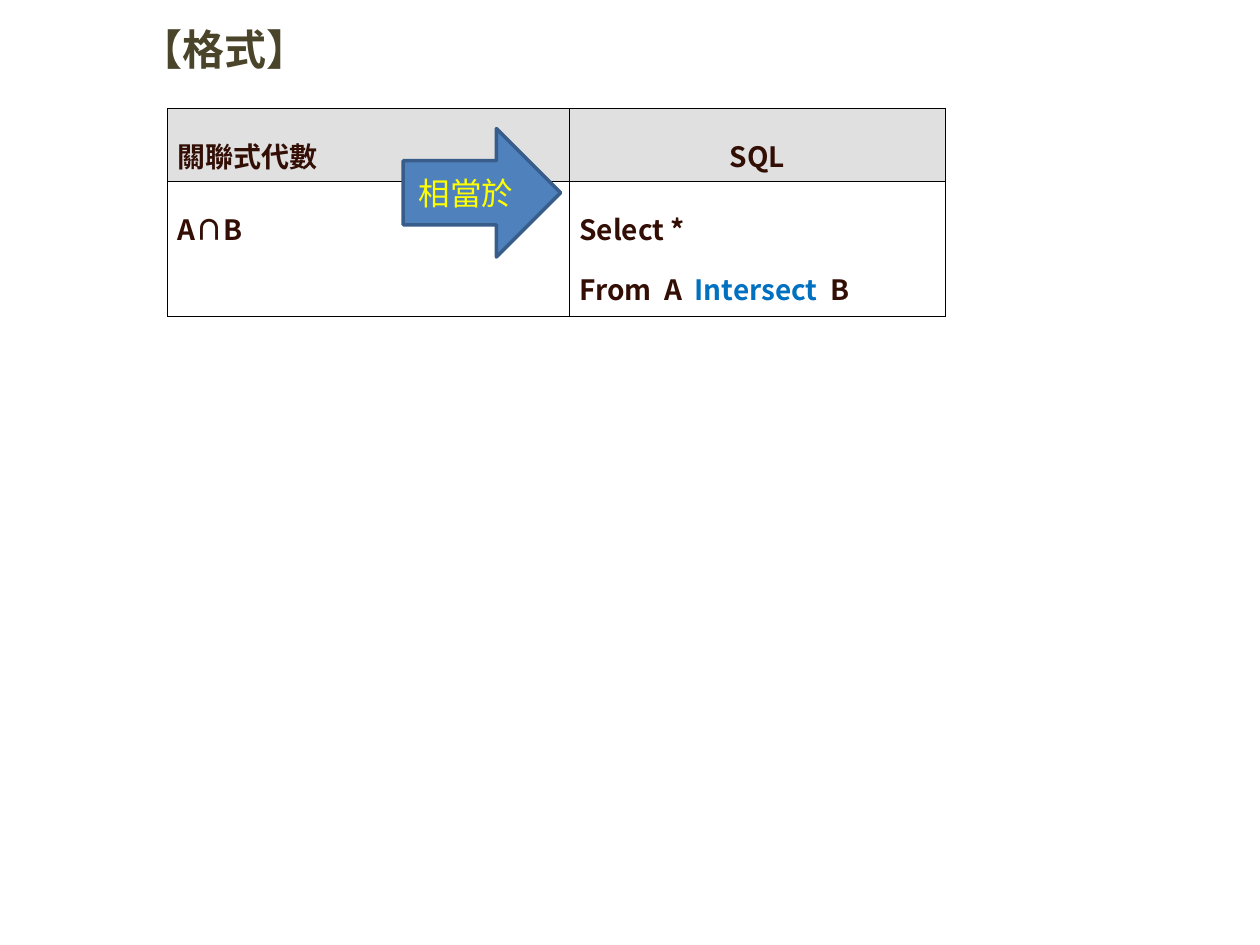
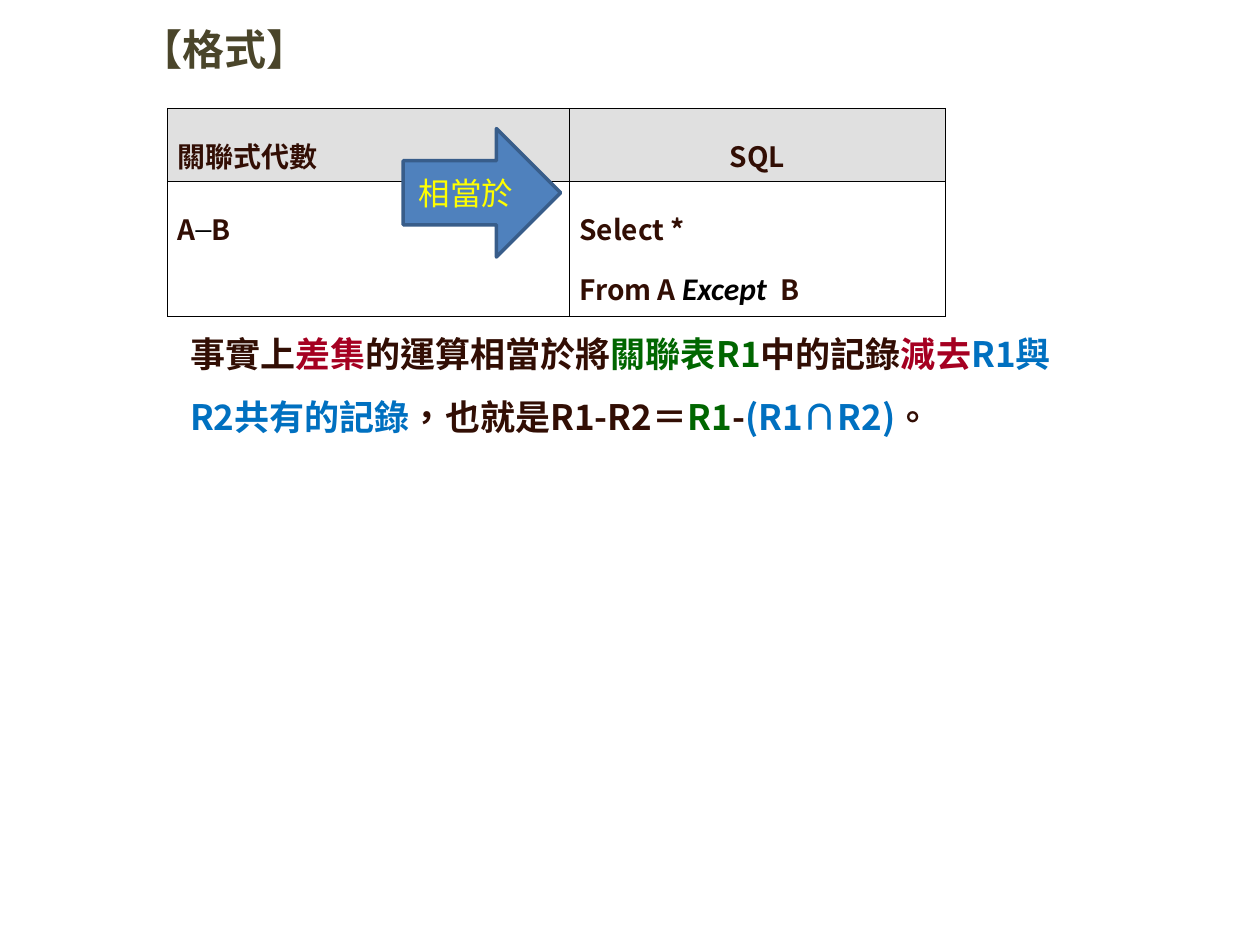
from lxml.etree import SubElement
from pptx import Presentation
from pptx.dml.color import RGBColor
from pptx.enum.shapes import MSO_SHAPE
from pptx.enum.text import MSO_ANCHOR, MSO_AUTO_SIZE, PP_ALIGN
from pptx.oxml.ns import qn
from pptx.util import Inches, Pt

BLACK = RGBColor(0x00, 0x00, 0x00)
OLIVE = RGBColor(0x4A, 0x45, 0x2A)
BROWN = RGBColor(0x32, 0x0E, 0x04)
BLUE = RGBColor(0x00, 0x70, 0xC0)
GREEN = RGBColor(0x00, 0x66, 0x00)
CRIMSON = RGBColor(0xA5, 0x00, 0x21)
YELLOW = RGBColor(0xFF, 0xFF, 0x00)
HEADER_GREY = RGBColor(0xE0, 0xE0, 0xE0)
ARROW_FILL = RGBColor(0x4F, 0x81, 0xBD)
ARROW_LINE = RGBColor(0x38, 0x5D, 0x8A)

LATIN_FONT = "Calibri"
CJK_FONT = "Noto Sans CJK SC"

TITLE_BOX = (1.02, 0, 8.98, 0.78)
TABLE_BOX = (1.33, 0.86, 6.17, 1.65)
EXPLANATION_BOX = (1.41, 2.42, 7.11, 1.1)
COLUMN_WIDTHS = (3.19, 2.98)
HEADER_HEIGHT = 0.58

INTERSECT_ROW = (
    [["A∩B"]],
    [["Select *"], ["From  A  ", ("Intersect", {"color": BLUE}), "  B"]],
)
EXCEPT_ROW = (
    [["A", ("─", {"size": 18, "font": LATIN_FONT, "color": BLACK, "bold": False}), "B"]],
    [
        ["Select *"],
        ["From A ",
         ("Except ", {"size": 18, "font": LATIN_FONT, "color": BLACK, "italic": True}),
         " B"],
    ],
)
EXPLANATION = [
    "事實上",
    ("差集", {"color": CRIMSON}),
    "的運算相當於將",
    ("關聯表R1", {"color": GREEN}),
    "中的記錄",
    ("減去", {"color": CRIMSON}),
    ("R1與R2共有的記錄", {"color": BLUE}),
    "，也就是R1-R2＝",
    ("R1", {"color": GREEN}),
    "-",
    ("(R1∩R2)", {"color": BLUE}),
    "。",
]


def inches(box):
    """Turn a box of numbers into lengths."""
    return [Inches(length) for length in box]


def format_run(run, size=16, font=CJK_FONT, color=BROWN, bold=True, italic=False):
    """Style one run, with a Traditional Chinese face for its CJK glyphs."""
    run.font.size = Pt(size)
    run.font.name = font
    run.font.color.rgb = color
    run.font.bold = bold
    run.font.italic = italic
    properties = run.font._element
    properties.set("lang", "zh-TW")
    east_asian = properties.makeelement(qn("a:ea"), {"typeface": CJK_FONT})
    properties.find(qn("a:latin")).addnext(east_asian)


def write_paragraph(paragraph, parts, align=PP_ALIGN.LEFT, spacing=1.5, **base):
    """Write plain or (text, style) parts into a paragraph."""
    paragraph.alignment = align
    paragraph.line_spacing = spacing
    for part in parts:
        text, style = (part, {}) if isinstance(part, str) else part
        run = paragraph.add_run()
        run.text = text
        format_run(run, **{**base, **style})


def add_title(slide, box):
    """Place the slide heading, centred vertically in its box."""
    heading = slide.shapes.add_textbox(*inches(box)).text_frame
    heading.word_wrap = True
    heading.vertical_anchor = MSO_ANCHOR.MIDDLE
    write_paragraph(heading.paragraphs[0], ["【格式】"], spacing=1.0,
                    size=24, font=LATIN_FONT, color=OLIVE)


def draw_borders(cell):
    """Give a cell thin black lines on all four sides."""
    properties = cell._tc.get_or_add_tcPr()
    for side in ("lnL", "lnR", "lnT", "lnB"):
        line = SubElement(properties, qn(f"a:{side}"), w=str(Pt(0.45)))
        fill = SubElement(line, qn("a:solidFill"))
        SubElement(fill, qn("a:srgbClr"), val=str(BLACK))


def fill_cell(cell, lines, align, background=None):
    """Write a cell's lines and set its margins, borders and fill."""
    cell.margin_left = cell.margin_right = Inches(0.08)
    cell.margin_top = cell.margin_bottom = Inches(0.05)
    draw_borders(cell)
    if background is None:
        cell.fill.background()
    else:
        cell.fill.solid()
        cell.fill.fore_color.rgb = background
    frame = cell.text_frame
    for index, parts in enumerate(lines):
        paragraph = frame.add_paragraph() if index else frame.paragraphs[0]
        write_paragraph(paragraph, parts, align)


def add_equivalence_arrow(slide, left, top):
    """Place the arrow that leads from the algebra column to the SQL column."""
    arrow = slide.shapes.add_shape(
        MSO_SHAPE.RIGHT_ARROW, *inches((left, top, 1.25, 1.02)))
    arrow.shadow.inherit = False
    arrow.fill.solid()
    arrow.fill.fore_color.rgb = ARROW_FILL
    arrow.line.color.rgb = ARROW_LINE
    arrow.line.width = Pt(2)
    label = arrow.text_frame
    label.word_wrap = True
    label.vertical_anchor = MSO_ANCHOR.MIDDLE
    write_paragraph(label.paragraphs[0], ["相當於"], PP_ALIGN.CENTER, 1.0,
                    size=18, font=LATIN_FONT, color=YELLOW, bold=False)


def add_comparison(slide, box, algebra, sql):
    """Place the algebra and SQL table with the arrow across it."""
    left, top, _, height = box
    table = slide.shapes.add_table(2, 2, *inches(box)).table
    table.first_row = table.horz_banding = False
    for column, width in zip(table.columns, COLUMN_WIDTHS):
        column.width = Inches(width)
    for row, row_height in zip(table.rows, (HEADER_HEIGHT, height - HEADER_HEIGHT)):
        row.height = Inches(row_height)
    fill_cell(table.cell(0, 0), [["關聯式代數"]], PP_ALIGN.LEFT, HEADER_GREY)
    fill_cell(table.cell(0, 1), [["SQL"]], PP_ALIGN.CENTER, HEADER_GREY)
    fill_cell(table.cell(1, 0), algebra, PP_ALIGN.JUSTIFY)
    fill_cell(table.cell(1, 1), sql, PP_ALIGN.LEFT)
    add_equivalence_arrow(slide, left + 1.87, top + 0.16)


def add_explanation(slide, box):
    """Place the note that explains the difference operation."""
    note = slide.shapes.add_textbox(*inches(box)).text_frame
    note.word_wrap = True
    note.auto_size = MSO_AUTO_SIZE.SHAPE_TO_FIT_TEXT
    write_paragraph(note.paragraphs[0], EXPLANATION, size=20)


def add_format_slide(presentation, operation_row):
    """Add a slide that compares one set operation in algebra and SQL."""
    slide = presentation.slides.add_slide(presentation.slide_layouts[6])
    add_title(slide, TITLE_BOX)
    add_comparison(slide, TABLE_BOX, *operation_row)
    return slide


def main():
    """Build and save the two slides."""
    presentation = Presentation()
    presentation.slide_width = Inches(10)
    presentation.slide_height = Inches(7.5)
    add_format_slide(presentation, INTERSECT_ROW)
    difference_slide = add_format_slide(presentation, EXCEPT_ROW)
    add_explanation(difference_slide, EXPLANATION_BOX)
    presentation.save("out.pptx")


if __name__ == "__main__":
    main()
